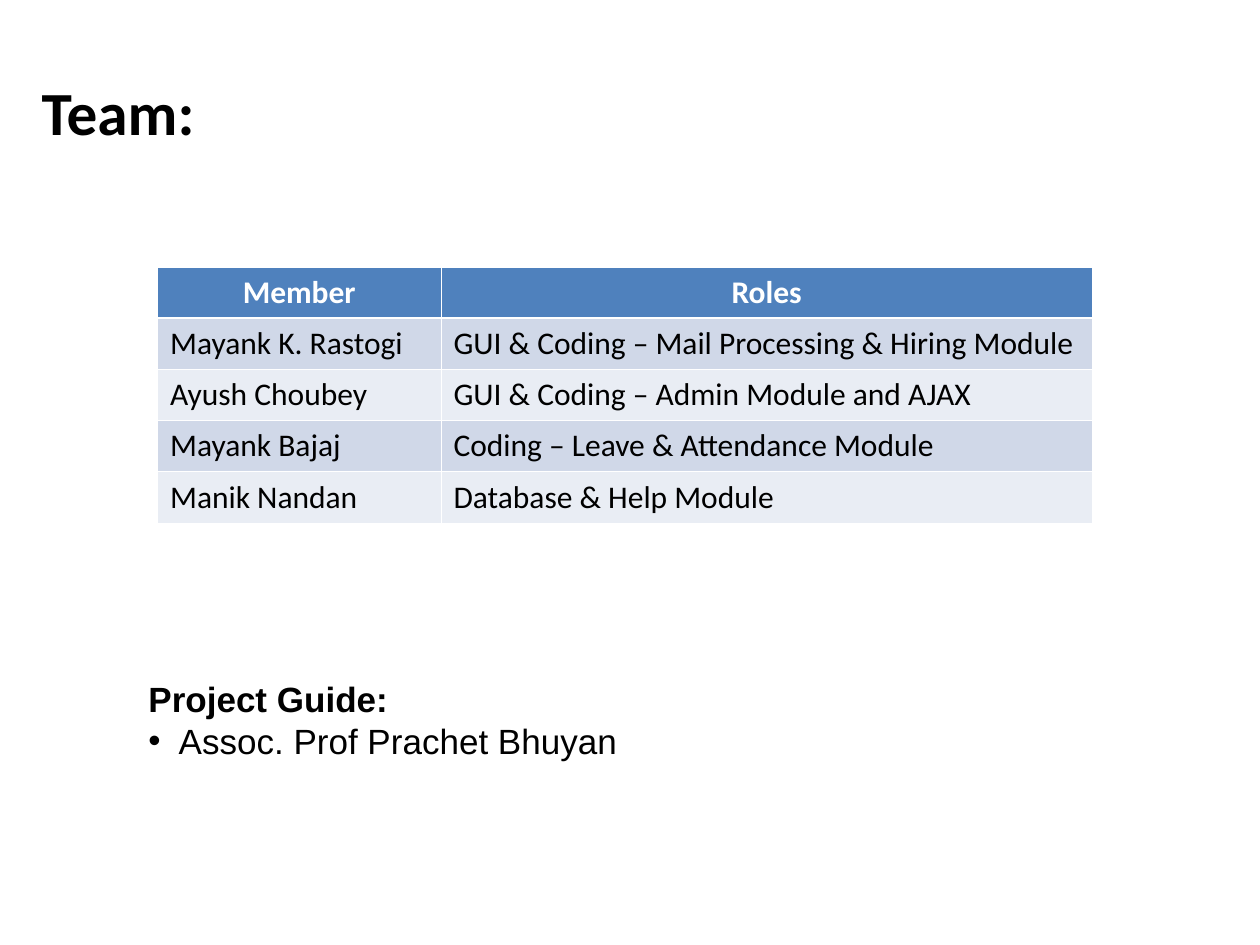
from dataclasses import dataclass

from lxml.etree import SubElement
from pptx import Presentation
from pptx.dml.color import RGBColor
from pptx.enum.text import MSO_ANCHOR, MSO_AUTO_SIZE, PP_ALIGN
from pptx.oxml.ns import qn
from pptx.util import Inches, Pt

COLORS = {
    "text": "000000",
    "white": "FFFFFF",
    "header": "4F81BD",
    "odd_row": "D0D8E8",
    "even_row": "E9EDF4",
}
THIN, THICK = 0.45, 1.47
COLUMN_WIDTHS = (2.25, 5.17)
ROW_HEIGHT = 0.406


@dataclass
class TeamMember:
    name: str
    role: str


@dataclass
class TextStyle:
    size: float
    font: str
    color: str = "text"
    bold: bool = False


TEAM = [
    TeamMember("Mayank K. Rastogi", "GUI & Coding – Mail Processing & Hiring Module"),
    TeamMember("Ayush Choubey", "GUI & Coding – Admin Module and AJAX"),
    TeamMember("Mayank Bajaj", "Coding – Leave & Attendance Module"),
    TeamMember("Manik Nandan", "Database & Help Module"),
]


def write_text(paragraph, text: str, style: TextStyle, align=PP_ALIGN.LEFT) -> None:
    paragraph.text = text
    paragraph.alignment = align
    font_format = {"size": Pt(style.size), "name": style.font, "bold": style.bold}
    for name, value in font_format.items():
        setattr(paragraph.font, name, value)
    paragraph.font.color.rgb = RGBColor.from_string(COLORS[style.color])


def set_frame(frame, **frame_format) -> None:
    for name, value in frame_format.items():
        setattr(frame, name, value)


def add_bullet(paragraph, indent: float) -> None:
    properties = paragraph._p.get_or_add_pPr()
    properties.set("marL", str(Inches(indent)))
    properties.set("indent", str(-Inches(indent)))
    SubElement(properties, qn("a:buFont"), typeface="Arial")
    SubElement(properties, qn("a:buChar"), char="•")


def add_border(cell, side: str, width: float) -> None:
    properties = cell._tc.get_or_add_tcPr()
    line = SubElement(properties, qn(f"a:ln{side}"), w=str(Pt(width)))
    fill = SubElement(line, qn("a:solidFill"))
    SubElement(fill, qn("a:srgbClr"), val=COLORS["white"])


def format_cell(cell, text: str, row: int) -> None:
    is_header = row == 0
    widths = {
        "L": THIN,
        "R": THIN,
        "T": THICK if row == 1 else THIN,
        "B": THICK if is_header else THIN,
    }
    for side, width in widths.items():
        add_border(cell, side, width)
    fill = "header" if is_header else ("odd_row" if row % 2 else "even_row")
    cell.fill.solid()
    cell.fill.fore_color.rgb = RGBColor.from_string(COLORS[fill])
    style = TextStyle(18, "Calibri", "white" if is_header else "text", is_header)
    align = PP_ALIGN.CENTER if is_header else PP_ALIGN.LEFT
    write_text(cell.text_frame.paragraphs[0], text, style, align)


def add_title(slide) -> None:
    title = slide.shapes.title
    title.left, title.top = Inches(0.33), Inches(0.25)
    title.width, title.height = Inches(2.5), Inches(0.92)
    set_frame(title.text_frame, margin_left=0, margin_right=0, margin_bottom=0,
              vertical_anchor=MSO_ANCHOR.BOTTOM, auto_size=MSO_AUTO_SIZE.NONE)
    write_text(title.text_frame.paragraphs[0], "Team:",
               TextStyle(35, "Calibri", bold=True))


def add_team_table(slide) -> None:
    rows = [("Member", "Roles")] + [(member.name, member.role) for member in TEAM]
    table = slide.shapes.add_table(
        len(rows), len(COLUMN_WIDTHS), Inches(1.25), Inches(2.12),
        Inches(sum(COLUMN_WIDTHS)), Inches(ROW_HEIGHT * len(rows))).table
    for column, width in zip(table.columns, COLUMN_WIDTHS):
        column.width = Inches(width)
    for row_index, texts in enumerate(rows):
        for column_index, text in enumerate(texts):
            format_cell(table.cell(row_index, column_index), text, row_index)


def add_project_guide(slide) -> None:
    box = slide.shapes.add_textbox(Inches(1.08), Inches(5.33), Inches(6), Inches(0.77))
    frame = box.text_frame
    set_frame(frame, word_wrap=True, auto_size=MSO_AUTO_SIZE.SHAPE_TO_FIT_TEXT)
    write_text(frame.paragraphs[0], "Project Guide:", TextStyle(20, "Arial", bold=True))
    guide = frame.add_paragraph()
    add_bullet(guide, 0.24)
    write_text(guide, "Assoc. Prof Prachet Bhuyan", TextStyle(20, "Arial"))


def main() -> None:
    presentation = Presentation()
    presentation.slide_width, presentation.slide_height = Inches(10), Inches(7.5)
    slide = presentation.slides.add_slide(presentation.slide_layouts[5])

    # Heading, team roles, then the guide below
    add_title(slide)
    add_team_table(slide)
    add_project_guide(slide)
    presentation.save("out.pptx")


if __name__ == "__main__":
    main()
